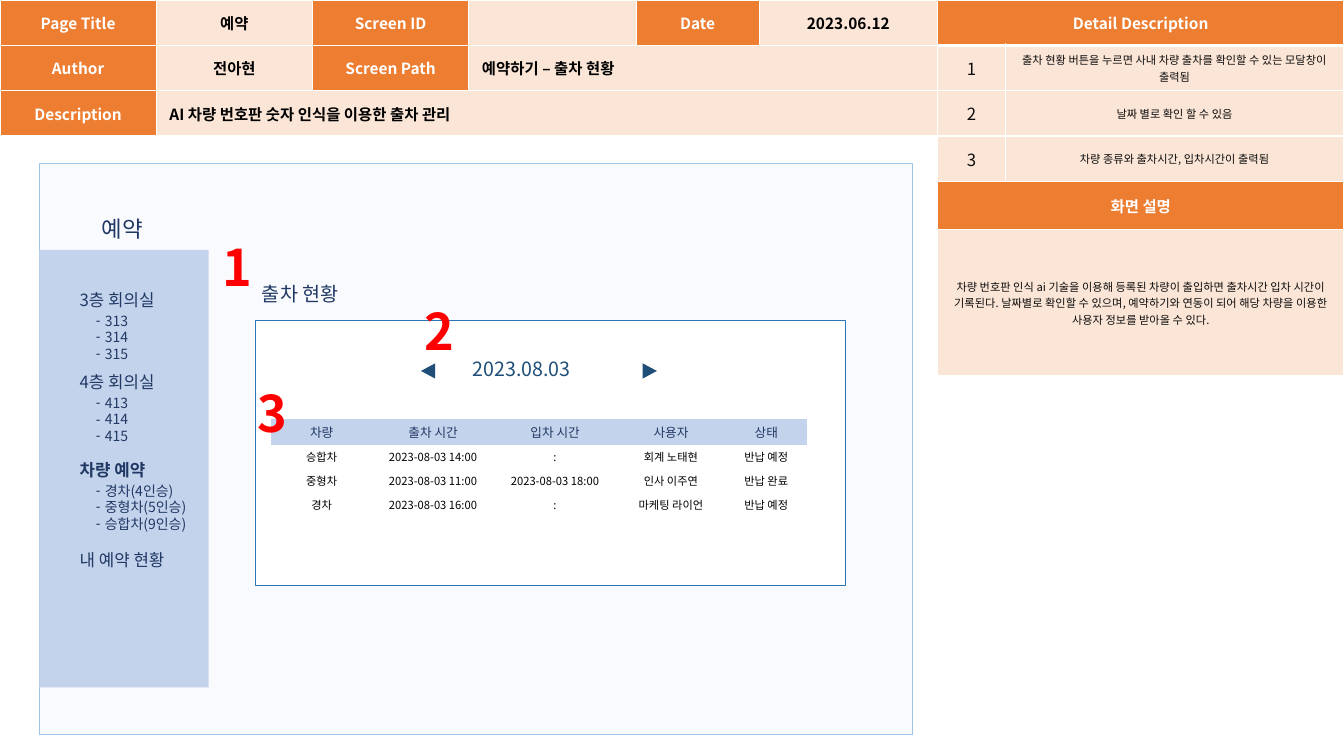
import dataclasses
import pptx
import pptx.util
import pptx.dml.color
import pptx.enum.shapes
import pptx.enum.text
from lxml import etree
from pptx.util import Inches, Pt

ALIGN = pptx.enum.text.PP_ALIGN
ANCHOR = pptx.enum.text.MSO_ANCHOR
SHAPE = pptx.enum.shapes.MSO_SHAPE
NAMESPACE = "{http://schemas.openxmlformats.org/drawingml/2006/main}"


@dataclasses.dataclass(frozen=True)
class Theme:
    font: str = "Noto Sans CJK KR"
    orange: str = "ED7D31"
    peach: str = "FBE5D6"
    white: str = "FFFFFF"
    black: str = "000000"
    ink: str = "0D0D0D"
    navy: str = "203864"
    blue: str = "1F4E79"
    pale: str = "F9FAFD"
    sidebar: str = "C4D3EC"
    frame: str = "9DC3E6"
    panel: str = "2E75B6"
    red: str = "FF0000"
    note: int = 8
    column: int = 9
    item: int = 10
    label: int = 11
    menu: int = 12
    heading: int = 14
    title: int = 16
    marker: int = 36


THEME = Theme()


def rgb(value):
    return pptx.dml.color.RGBColor.from_string(value)


def add_run(paragraph, text, size, color, bold=False):
    run = paragraph.add_run()
    run.text = text
    run.font.size = Pt(size)
    run.font.bold = bold
    run.font.color.rgb = rgb(color)
    run.font.name = THEME.font
    etree.SubElement(run._r.get_or_add_rPr(), NAMESPACE + "ea", typeface=THEME.font)


def add_label(slide, left, top, width, height, text, size, color, bold=False):
    box = slide.shapes.add_textbox(Inches(left), Inches(top), Inches(width), Inches(height))
    box.text_frame.word_wrap = True
    paragraph = box.text_frame.paragraphs[0]
    paragraph.line_spacing = 0.9
    add_run(paragraph, text, size, color, bold)


def add_block(slide, kind, left, top, width, height, fill, line=None, line_width=0.5, rotation=0):
    shape = slide.shapes.add_shape(kind, Inches(left), Inches(top), Inches(width), Inches(height))
    shape.shadow.inherit = False
    shape.rotation = rotation
    shape.fill.solid()
    shape.fill.fore_color.rgb = rgb(fill)
    if line:
        shape.line.color.rgb = rgb(line)
        shape.line.width = Pt(line_width)
    else:
        shape.line.fill.background()


def place_placeholder(placeholder, left, top, width, height):
    placeholder.left, placeholder.top = Inches(left), Inches(top)
    placeholder.width, placeholder.height = Inches(width), Inches(height)
    frame = placeholder.text_frame
    frame.auto_size = pptx.enum.text.MSO_AUTO_SIZE.NONE
    frame.vertical_anchor = ANCHOR.TOP
    # Bring the text in front of the shapes drawn so far
    placeholder.element.getparent().append(placeholder.element)
    return frame


def set_border(cell, side, color, width):
    properties = cell._tc.get_or_add_tcPr()
    line = etree.Element(NAMESPACE + side, w=str(Pt(width)))
    if color:
        fill = etree.SubElement(line, NAMESPACE + "solidFill")
        etree.SubElement(fill, NAMESPACE + "srgbClr", val=color)
    else:
        etree.SubElement(line, NAMESPACE + "noFill")
    properties.insert(("lnL", "lnR", "lnT", "lnB").index(side), line)


def add_grid(slide, left, top, columns, rows, border, thick_row=None):
    """Add an empty table; a 3-point rule follows thick_row."""
    table = slide.shapes.add_table(len(rows), len(columns), Inches(left), Inches(top),
                                   Inches(sum(columns)), Inches(sum(rows))).table
    table.first_row = table.horz_banding = False
    for column, width in zip(table.columns, columns):
        column.width = Inches(width)
    for row, height in zip(table.rows, rows):
        row.height = Inches(height)
    for index, row in enumerate(table.rows):
        for cell in row.cells:
            for side in ("lnL", "lnR", "lnT", "lnB"):
                thick = (index, side) in ((thick_row, "lnB"), (thick_row + 1, "lnT")) \
                    if thick_row is not None else False
                set_border(cell, side, border, 3 if thick else 1)
    return table


def fill_cell(cell, text, size, color, fill=None, bold=False, align=ALIGN.CENTER, margins=(0.13, 0.05)):
    if fill:
        cell.fill.solid()
        cell.fill.fore_color.rgb = rgb(fill)
    else:
        cell.fill.background()
    cell.margin_left = cell.margin_right = Inches(margins[0])
    cell.margin_top = cell.margin_bottom = Inches(margins[1])
    cell.vertical_anchor = ANCHOR.MIDDLE
    paragraph = cell.text_frame.paragraphs[0]
    paragraph.alignment = align
    if text:
        add_run(paragraph, text, size, color, bold)


def add_page_header(slide, left, top):
    rows = [["Page Title", "예약", "Screen ID", "", "Date", "2023.06.12"],
            ["Author", "전아현", "Screen Path", "예약하기 – 출차 현황"],
            ["Description", "AI 차량 번호판 숫자 인식을 이용한 출차 관리"]]
    table = add_grid(slide, left, top, [1.55, 1.55, 1.55, 1.66, 1.22, 1.77], [0.45] * 3, THEME.white)
    for row, texts in enumerate(rows):
        last = len(texts) - 1
        if last < 5:
            table.cell(row, last).merge(table.cell(row, 5))
        for column, text in enumerate(texts):
            is_label = column % 2 == 0
            wide = column == last and last < 5
            fill_cell(table.cell(row, column), text, THEME.label,
                      THEME.white if is_label else THEME.black,
                      THEME.orange if is_label else THEME.peach, True,
                      ALIGN.LEFT if wide else ALIGN.CENTER)


def add_detail_description(slide, left, top):
    notes = ["출차 현황 버튼을 누르면 사내 차량 출차를 확인할 수 있는 모달창이 출력됨",
             "날짜 별로 확인 할 수 있음",
             "차량 종류와 출차시간, 입차시간이 출력됨"]
    summary = ("차량 번호판 인식 ai 기술을 이용해 등록된 차량이 출입하면 출차시간 입차 시간이 기록된다. "
               "날짜별로 확인할 수 있으며, 예약하기와 연동이 되어 해당 차량을 이용한 사용자 정보를 받아올 수 있다.")
    table = add_grid(slide, left, top, [0.67, 3.36], [0.45] * 4 + [0.48, 1.45], THEME.white, thick_row=0)
    for row in (0, 4, 5):
        table.cell(row, 0).merge(table.cell(row, 1))
    for row, text in ((0, "Detail Description"), (4, "화면 설명")):
        fill_cell(table.cell(row, 0), text, THEME.label, THEME.white, THEME.orange, True)
    for row, note in enumerate(notes, 1):
        fill_cell(table.cell(row, 0), str(row), THEME.menu, THEME.ink, THEME.peach)
        fill_cell(table.cell(row, 1), note, THEME.note, THEME.ink, THEME.peach, margins=(0.1, 0.04))
    fill_cell(table.cell(5, 0), summary, THEME.note, THEME.ink, THEME.peach)


def add_sidebar(slide, left, top, width, height):
    # Each group: heading, space before it, bold, entries
    groups = [("3층 회의실", 0, False, ["313", "314", "315"]),
              ("4층 회의실", 4, False, ["413", "414", "415"]),
              ("차량 예약", 8, True, ["경차(4인승)", "중형차(5인승)", "승합차(9인승)"]),
              ("내 예약 현황", 9.5, False, [])]
    add_block(slide, SHAPE.RECTANGLE, left, top, width, height, THEME.sidebar)
    title = place_placeholder(slide.shapes.title, left + 0.52, top - 0.37, 3.27, 0.37)
    title.paragraphs[0].alignment = ALIGN.LEFT
    title.paragraphs[0].line_spacing = 0.9
    add_run(title.paragraphs[0], "예약", THEME.title, THEME.navy)

    menu = place_placeholder(slide.placeholders[1], left + 0.3, top + 0.35, 2.58, 2.91)
    menu.margin_top = 0
    entries = []
    for heading, gap, bold, items in groups:
        entries.append((heading, gap, bold, False))
        entries += [(item, 0 if index else 2, False, True) for index, item in enumerate(items)]
    for index, (text, gap, bold, is_item) in enumerate(entries):
        paragraph = menu.add_paragraph() if index else menu.paragraphs[0]
        paragraph.space_before = Pt(gap)
        paragraph.line_spacing = Pt(11.8 if is_item else 17.4)
        properties = paragraph._p.get_or_add_pPr()
        properties.set("marL", str(Inches(0.25 if is_item else 0)))
        properties.set("indent", str(Inches(-0.09 if is_item else 0)))
        if is_item:
            etree.SubElement(properties, NAMESPACE + "buChar", char="-")
        else:
            etree.SubElement(properties, NAMESPACE + "buNone")
        add_run(paragraph, text, THEME.item if is_item else THEME.menu, THEME.navy, bold)


def add_departure_panel(slide, left, top, width, height):
    rows = [["차량", "출차 시간", "입차 시간", "사용자", "상태"],
            ["승합차", "2023-08-03 14:00", ":", "회계 노태현", "반납 예정"],
            ["중형차", "2023-08-03 11:00", "2023-08-03 18:00", "인사 이주연", "반납 완료"],
            ["경차", "2023-08-03 16:00", ":", "마케팅 라이언", "반납 예정"]]
    add_block(slide, SHAPE.RECTANGLE, left, top, width, height, THEME.white, THEME.panel, 0.25)
    add_label(slide, left - 0.03, top - 0.41, 2.61, 0.34, "출차 현황", THEME.heading, THEME.navy)
    # Date switcher
    add_label(slide, left + 2.06, top + 0.34, 2.4, 0.34, "2023.08.03", THEME.heading, THEME.blue)
    for offset, rotation in ((1.64, 270), (3.84, 90)):
        add_block(slide, SHAPE.ISOSCELES_TRIANGLE, left + offset, top + 0.43, 0.15, 0.14,
                  THEME.blue, rotation=rotation)
    # Departure records
    table = add_grid(slide, left + 0.16, top + 0.98, [1, 1.21, 1.21, 1.09, 0.8], [0.25] + [0.24] * 3, None)
    for row, texts in enumerate(rows):
        style = (THEME.note, THEME.black) if row else (THEME.column, THEME.navy, THEME.sidebar)
        for column, text in enumerate(texts):
            fill_cell(table.cell(row, column), text, *style, margins=(0.05, 0.03))


def add_markers(slide, left, top):
    for number, (x, y) in enumerate([(1.72, 0.74), (3.72, 1.38), (2.07, 2.19)], 1):
        add_label(slide, left + x, top + y, 0.64, 0.71, str(number), THEME.marker, THEME.red, True)


def main():
    presentation = pptx.Presentation()
    presentation.slide_width, presentation.slide_height = Inches(13.33), Inches(7.5)
    slide = presentation.slides.add_slide(presentation.slide_layouts[1])
    # Screen mock-up
    add_block(slide, SHAPE.RECTANGLE, 0.39, 1.62, 8.66, 5.67, THEME.pale, THEME.frame)
    add_sidebar(slide, 0.39, 2.48, 1.68, 4.34)
    add_departure_panel(slide, 2.53, 3.18, 5.85, 2.63)
    add_markers(slide, 0.39, 1.62)
    # Specification tables
    add_page_header(slide, 0, 0)
    add_detail_description(slide, 9.3, 0)
    presentation.save("out.pptx")


if __name__ == "__main__":
    main()
